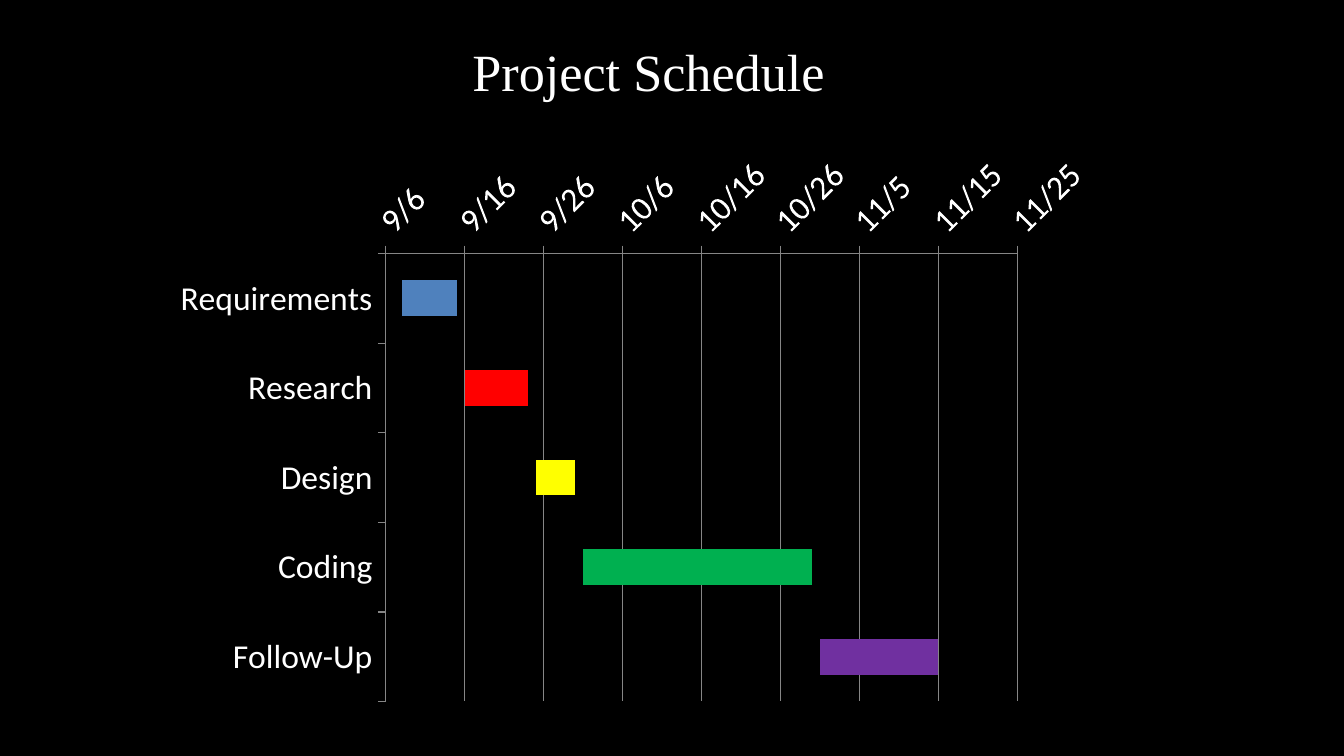
from dataclasses import dataclass

import pptx
import pptx.chart.data
import pptx.dml.color
import pptx.enum.chart
import pptx.enum.text
import pptx.oxml
import pptx.oxml.ns
import pptx.util
from pptx.util import Cm

WHITE, BLACK, GRAY = "FFFFFF", "000000", "868686"
ORIGIN = 45175  # 9/6 as a serial date
STEP, SPANS = 10, 8
PLOT = {"x": 20.2, "y": 16.8, "w": 55.8, "h": 77.2}  # percent of the chart


@dataclass
class Task:
    name: str
    start: int
    days: int
    hue: str


TASKS = [
    Task("Requirements", 45177, 7, "4F81BD"),
    Task("Research", 45185, 8, "FF0000"),
    Task("Design", 45194, 5, "FFFF00"),
    Task("Coding", 45200, 29, "00B050"),
    Task("Follow-Up", 45230, 15, "7030A0"),
]


def paint(item, hue: str) -> None:
    """Give a fill or a colour format a hex colour."""
    if hasattr(item, "solid"):
        item.solid()
        item = item.fore_color
    item.rgb = pptx.dml.color.RGBColor.from_string(hue)


def style(font, face: str, size: float, hue: str) -> None:
    font.name, font.size = face, pptx.util.Pt(size)
    paint(font.color, hue)


def write(slide, text: str, *, box: tuple, face: str, size: float,
          hue: str) -> None:
    shape = slide.shapes.add_textbox(*(Cm(n) for n in box))
    frame = shape.text_frame
    frame.word_wrap = False
    frame.auto_size = pptx.enum.text.MSO_AUTO_SIZE.SHAPE_TO_FIT_TEXT
    run = frame.paragraphs[0].add_run()
    run.text = text
    style(run.font, face, size, hue)


def rule(line) -> None:
    """Draw an axis or grid line as a thin gray rule."""
    line.width = pptx.util.Pt(0.75)
    paint(line.fill, GRAY)


def fix(chart, area: dict) -> None:
    """Pin the inner plot area to percentages of the chart."""
    plot = chart._chartSpace.chart.plotArea
    for old in plot.xpath("c:layout"):
        plot.remove(old)
    modes = "".join(f'<c:{k}Mode val="edge"/>' for k in "xy")
    sizes = "".join(f'<c:{k} val="{v / 100:.3f}"/>' for k, v in area.items())
    plot.insert(0, pptx.oxml.parse_xml(
        f'<c:layout {pptx.oxml.ns.nsdecls("c")}><c:manualLayout>'
        f'<c:layoutTarget val="inner"/>{modes}{sizes}'
        '</c:manualLayout></c:layout>'))


def gantt(slide, tasks: list[Task], box: tuple) -> None:
    kinds = pptx.enum.chart
    data = pptx.chart.data.CategoryChartData()
    data.categories = [t.name for t in tasks]
    data.add_series("Series 1", [t.start for t in tasks])
    data.add_series("Series 2", [t.days for t in tasks])
    chart = slide.shapes.add_chart(
        kinds.XL_CHART_TYPE.BAR_STACKED, *(Cm(n) for n in box), data).chart
    chart.has_legend = chart.has_title = False
    style(chart.font, "Calibri", 18, BLACK)
    fix(chart, PLOT)

    plot = chart.plots[0]
    plot.gap_width, plot.overlap = 150, 100
    plot.vary_by_categories = False
    lead, bars = plot.series
    lead.format.fill.background()
    lead.format.line.fill.background()
    paint(bars.format.fill, "C0504D")
    for i, task in enumerate(tasks):
        paint(bars.points[i].format.fill, task.hue)

    names, dates = chart.category_axis, chart.value_axis
    for axis in (names, dates):
        axis.major_tick_mark = kinds.XL_TICK_MARK.OUTSIDE
        axis.minor_tick_mark = kinds.XL_TICK_MARK.NONE
        style(axis.tick_labels.font, "Calibri", 18, WHITE)
        rule(axis.format.line)
    names.reverse_order = True
    dates.minimum_scale = ORIGIN
    dates.maximum_scale = ORIGIN + STEP * SPANS
    dates.major_unit = STEP
    dates.has_major_gridlines = True
    rule(dates.major_gridlines.format.line)
    dates.tick_labels.number_format = "m/d;@"
    dates.tick_labels.number_format_is_linked = False
    body = dates._element.xpath("c:txPr/a:bodyPr")[0]
    body.set("rot", str(-45 * 60000))
    body.set("vert", "horz")


def main() -> None:
    deck = pptx.Presentation()
    deck.slide_width, deck.slide_height = Cm(25.4), Cm(14.29)
    slide = deck.slides.add_slide(deck.slide_layouts[6])
    paint(slide.background.fill, BLACK)
    gantt(slide, TASKS, (2.97, 2.92, 21.39, 11))
    write(slide, "Project Schedule", box=(8.68, 0.61, 7.24, 1.45),
          face="Times New Roman", size=28, hue=WHITE)
    deck.save("out.pptx")


if __name__ == "__main__":
    main()
